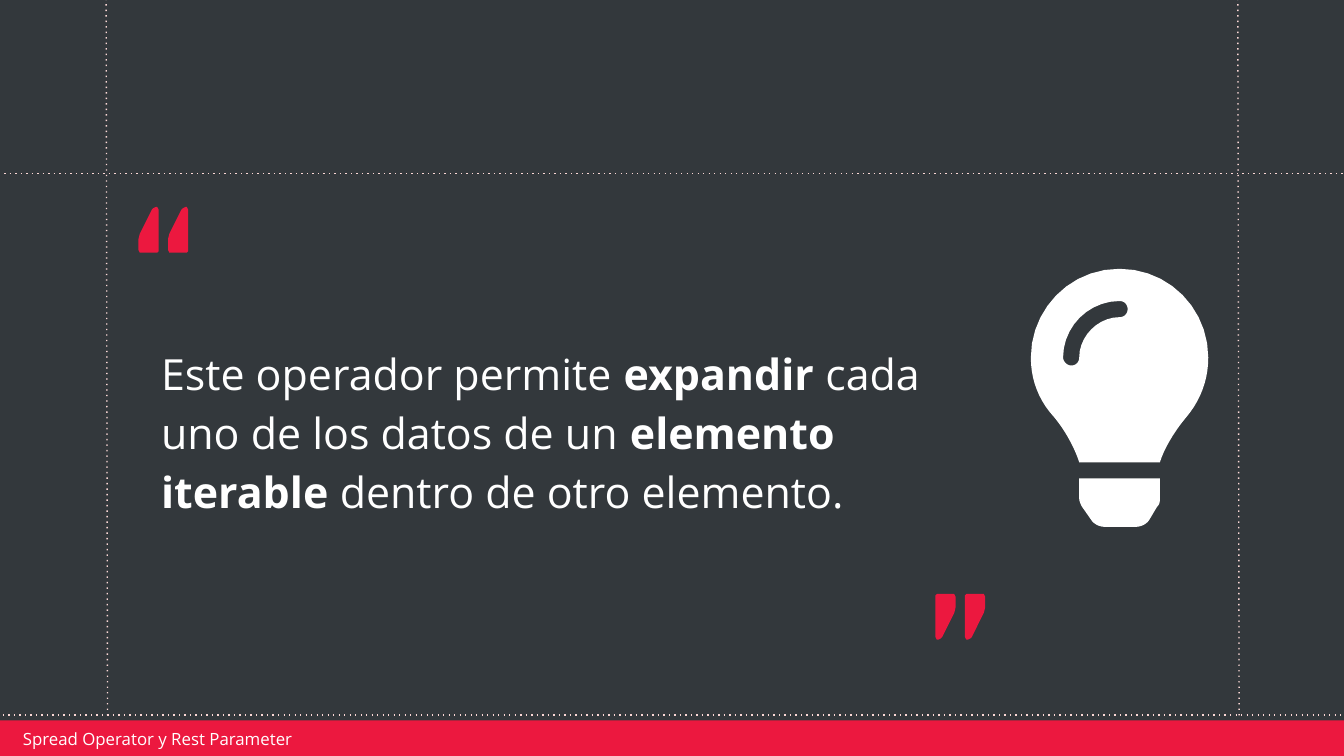
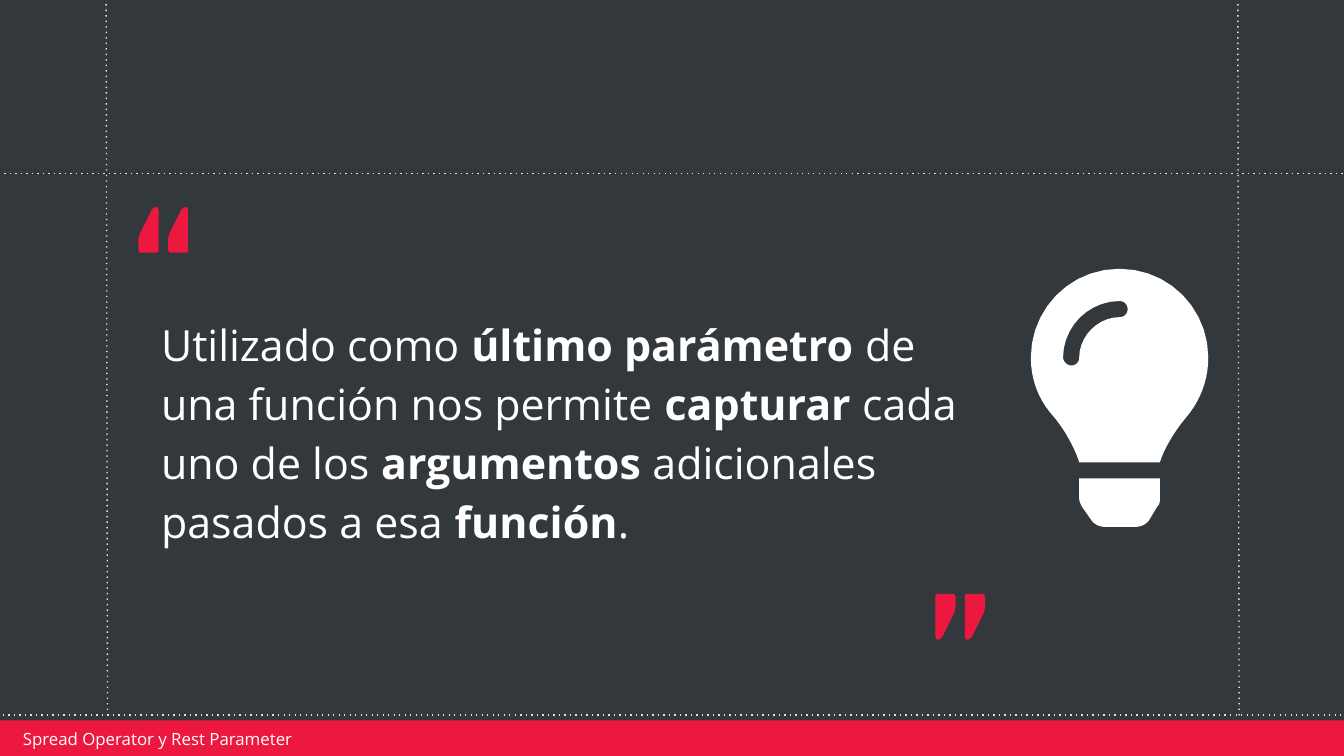
from dataclasses import dataclass
from typing import NamedTuple

from lxml import etree
from pptx import Presentation
from pptx import slide as sl
from pptx import util as u
from pptx.dml import color
from pptx.enum import shapes, text
from pptx.oxml import ns


# Theme: colours, type and footer wording
@dataclass(frozen=True)
class Theme:
    background: str = "33383C"
    accent: str = "EC183F"
    guide: str = "FCD8D6"
    white: str = "FFFFFF"
    font: str = "Open Sans"
    quote_size: float = 23
    footer_size: float = 9
    guide_width: float = 0.75
    footer: str = "Spread Operator y Rest Parameter"


class Point(NamedTuple):
    x: float
    y: float


class Box(NamedTuple):
    left: float
    top: float
    width: float
    height: float

    def lengths(self) -> list[u.Length]:
        return [u.Inches(value) for value in self]


class Guide(NamedTuple):
    start: Point
    end: Point


class Span(NamedTuple):
    words: str
    bold: bool = False


class Quote(NamedTuple):
    width: float
    spans: list[Span]


class QuoteMark(NamedTuple):
    origins: list[Point]
    rotation: float


THEME = Theme()
SLIDE_WIDTH = 10
SLIDE_HEIGHT = SLIDE_WIDTH * 9 / 16
BAND = Box(-0.02, 5.36, 10.03, 0.27)
FOOTER = Box(0.12, 5.42, 2.39, 0.15)

GUIDES = [
    Guide(Point(0.79, -0.01), Point(0.8, 5.33)),
    Guide(Point(9.21, -0.01), Point(9.22, 5.33)),
    Guide(Point(-0.01, 1.29), Point(10.03, 1.29)),
    Guide(Point(-0.02, 5.32), Point(10.02, 5.32)),
]

# Outline of one quotation stroke, measured from its top left corner
STROKE = [
    Point(0.13, 0), Point(0.11, 0.01), Point(0.1, 0.02), Point(0.03, 0.16),
    Point(0.01, 0.2), Point(0, 0.24), Point(0, 0.32), Point(0.01, 0.34),
    Point(0.14, 0.34), Point(0.15, 0.33), Point(0.15, 0.02), Point(0.14, 0),
]
QUOTE_MARKS = [
    QuoteMark([Point(1.03, 1.54), Point(1.25, 1.54)], 0),
    QuoteMark([Point(7.18, 4.42), Point(6.96, 4.42)], 180),
]

# Light bulb contours: a start, then steps of two (line) or six (curve) numbers
BULB = [
    [(8.03, 3.71), (8.03, 3.73, 8.04, 3.75, 8.05, 3.77), (8.12, 3.87),
     (8.14, 3.9, 8.18, 3.92, 8.22, 3.92), (8.45, 3.92),
     (8.49, 3.92, 8.53, 3.9, 8.55, 3.87), (8.61, 3.77),
     (8.63, 3.75, 8.63, 3.73, 8.63, 3.71), (8.63, 3.56), (8.03, 3.56)],
    [(7.67, 2.66), (7.67, 2.83, 7.73, 2.98, 7.84, 3.1),
     (7.9, 3.17, 7.99, 3.31, 8.03, 3.44), (8.63, 3.44),
     (8.67, 3.31, 8.77, 3.17, 8.83, 3.1), (8.93, 2.98, 8.99, 2.83, 8.99, 2.66),
     (8.99, 2.3, 8.7, 2, 8.33, 2), (7.95, 2, 7.67, 2.31, 7.67, 2.66)],
    [(8.33, 2.36), (8.17, 2.36, 8.03, 2.5, 8.03, 2.66),
     (8.03, 2.69, 8.01, 2.72, 7.97, 2.72), (7.94, 2.72, 7.91, 2.69, 7.91, 2.66),
     (7.91, 2.43, 8.1, 2.24, 8.33, 2.24), (8.37, 2.24, 8.39, 2.27, 8.39, 2.3),
     (8.39, 2.33, 8.37, 2.36, 8.33, 2.36)],
]

QUOTES = [
    Quote(6.49, [
        Span("Este operador permite "), Span("expandir", True),
        Span(" cada uno de los datos de un "), Span("elemento iterable", True),
        Span(" dentro de otro elemento."),
    ]),
    Quote(6.34, [
        Span("Utilizado como "), Span("último parámetro", True),
        Span(" de una función nos permite "), Span("capturar", True),
        Span(" cada uno de los "), Span("argumentos", True),
        Span(" adicionales pasados a esa "), Span("función", True), Span("."),
    ]),
]


def rgb(value: str) -> color.RGBColor:
    return color.RGBColor.from_string(value)


def paint(shape, fill: str) -> None:
    shape.fill.solid()
    shape.fill.fore_color.rgb = rgb(fill)
    shape.line.fill.background()
    shape.shadow.inherit = False


def flatten(contour: list[tuple], steps: int = 10) -> list[Point]:
    """Turn the curves of a contour into short straight segments."""
    points = [Point(*contour[0])]
    for step in contour[1:]:
        if len(step) == 2:
            points.append(Point(*step))
            continue
        start, (x1, y1, x2, y2, x3, y3) = points[-1], step
        for index in range(1, steps + 1):
            t = index / steps
            a, b, c, d = (1 - t) ** 3, 3 * t * (1 - t) ** 2, 3 * t * t * (1 - t), t ** 3
            points.append(Point(a * start.x + b * x1 + c * x2 + d * x3,
                                a * start.y + b * y1 + c * y2 + d * y3))
    return points


def add_outline(collection, contours: list[list[Point]], fill: str):
    scaled = [[(u.Inches(p.x), u.Inches(p.y)) for p in contour] for contour in contours]
    builder = collection.build_freeform(*scaled[0][0])
    for index, contour in enumerate(scaled):
        if index:
            builder.move_to(*contour[0])
        builder.add_line_segments(contour[1:], close=True)
    shape = builder.convert_to_shape()
    paint(shape, fill)
    return shape


def add_guide(slide: sl.Slide, guide: Guide) -> None:
    ends = [u.Inches(value) for point in guide for value in point]
    connector = slide.shapes.add_connector(shapes.MSO_CONNECTOR.STRAIGHT, *ends)
    connector.line.width = u.Pt(THEME.guide_width)
    connector.line.color.rgb = rgb(THEME.guide)
    properties = connector._element.spPr
    dash = etree.SubElement(properties.find(ns.qn("a:ln")), ns.qn("a:prstDash"))
    dash.set("val", "dot")
    etree.SubElement(properties, ns.qn("a:effectLst"))


def add_text(slide: sl.Slide, box: Box, spans: list[Span], size: float,
             margins: Point, spacing: float = 1) -> None:
    frame = slide.shapes.add_textbox(*box.lengths()).text_frame
    frame.word_wrap = True
    frame.vertical_anchor = text.MSO_ANCHOR.MIDDLE
    frame.margin_left = frame.margin_right = u.Inches(margins.x)
    frame.margin_top = frame.margin_bottom = u.Inches(margins.y)
    paragraph = frame.paragraphs[0]
    paragraph.line_spacing = spacing
    for span in spans:
        run = paragraph.add_run()
        run.text = span.words
        run.font.name = THEME.font
        run.font.size = u.Pt(size)
        run.font.bold = span.bold
        run.font.color.rgb = rgb(THEME.white)


def add_quote_mark(slide: sl.Slide, mark: QuoteMark) -> None:
    group = slide.shapes.add_group_shape()
    for origin in mark.origins:
        outline = [Point(origin.x + p.x, origin.y + p.y) for p in STROKE]
        add_outline(group.shapes, [outline], THEME.accent).rotation = mark.rotation


def add_footer(slide: sl.Slide) -> None:
    band = slide.shapes.add_shape(shapes.MSO_SHAPE.RECTANGLE, *BAND.lengths())
    paint(band, THEME.accent)
    add_text(slide, FOOTER, [Span(THEME.footer)], THEME.footer_size, Point(0.05, 0.02))


def add_quote_slide(presentation, quote: Quote) -> None:
    slide = presentation.slides.add_slide(presentation.slide_layouts.get_by_name("Blank"))
    for guide in GUIDES:
        add_guide(slide, guide)
    add_text(slide, Box(1.1, 2.08, quote.width, 2.22), quote.spans,
             THEME.quote_size, Point(0.1, 0.05), spacing=1.15)
    add_outline(slide.shapes, [flatten(contour) for contour in BULB], THEME.white)
    for mark in QUOTE_MARKS:
        add_quote_mark(slide, mark)
    add_footer(slide)


def main() -> None:
    presentation = Presentation()
    presentation.slide_width = u.Inches(SLIDE_WIDTH)
    presentation.slide_height = u.Inches(SLIDE_HEIGHT)
    # The shared background sits on the master
    backdrop = presentation.slide_master.background.fill
    backdrop.solid()
    backdrop.fore_color.rgb = rgb(THEME.background)
    for quote in QUOTES:
        add_quote_slide(presentation, quote)
    presentation.save("out.pptx")


if __name__ == "__main__":
    main()
